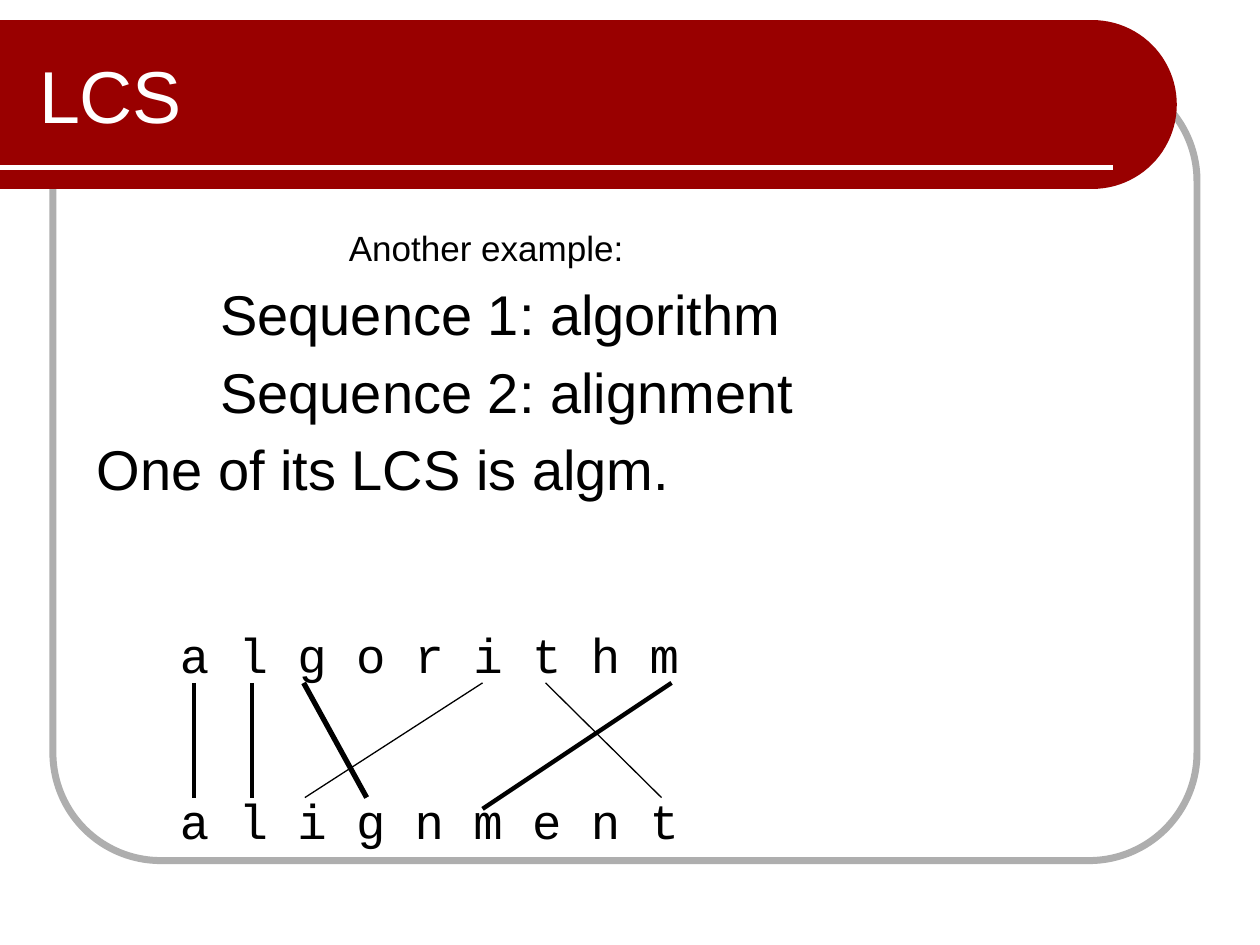
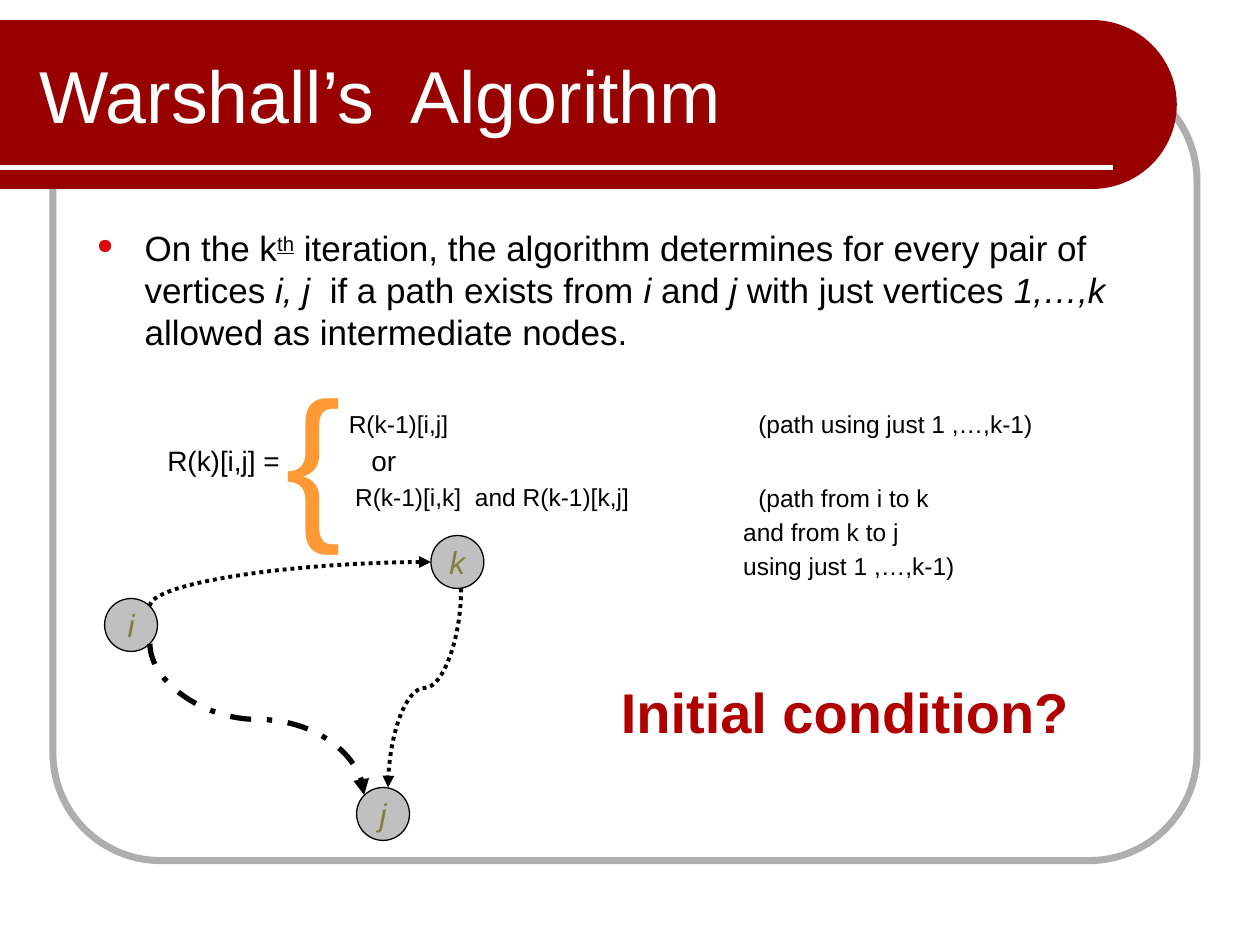
from dataclasses import dataclass
from math import cos, pi, sin

from lxml import etree
from pptx import Presentation
from pptx import util as u
from pptx.dml.color import RGBColor
from pptx.enum import dml, shapes, text
from pptx.oxml.ns import qn

Inches, Pt = u.Inches, u.Pt
LINK = shapes.MSO_CONNECTOR
DASH = dml.MSO_LINE


@dataclass(frozen=True)
class Theme:
    sans: str = "Arial"
    mono: str = "Courier New"
    band: str = "990000"
    frame: str = "AEAEAE"
    paper: str = "FFFFFF"
    ink: str = "000000"
    bullet: str = "DA0808"
    node: str = "C0C0C0"
    label: str = "817F3F"
    brace: str = "FF9933"
    accent: str = "B00000"
    title: int = 42
    large: int = 32
    letter: int = 28
    body: int = 20
    small: int = 18
    rule: int = 16
    note: int = 14
    huge: int = 96


T = Theme()


@dataclass(frozen=True)
class Bit:
    """A run; raised means underlined superscript."""
    words: str
    slant: bool = False
    raised: bool = False


@dataclass(frozen=True)
class Para:
    bits: tuple[Bit, ...] | str
    size: int
    first: float = 0
    left: float = 0
    gap: float | None = None
    bullet: str = ""
    font: str = T.sans
    color: str = T.ink
    bold: bool = False
    slant: bool = False


@dataclass(frozen=True)
class Stroke:
    start: tuple[float, float]
    end: tuple[float, float]
    width: float
    color: str = T.ink


@dataclass(frozen=True)
class Curve:
    """A curved arrow, given by its box before it is turned."""
    x: float
    y: float
    wide: float
    high: float
    turn: int
    width: float
    dash: DASH
    kind: str = "curvedConnector3"
    flip: bool = False


@dataclass(frozen=True)
class Node:
    x: float
    y: float
    name: str


def rgb(color: str) -> RGBColor:
    return RGBColor.from_string(color)


def add(parent, tag: str, **attrs: str):
    item = etree.SubElement(parent, qn(tag))
    for key, value in attrs.items():
        item.set(key, value)
    return item


def style(para, size: int, color: str, font: str = T.sans) -> None:
    para.font.size = Pt(size)
    para.font.name = font
    para.font.color.rgb = rgb(color)


def write(para, item: Para, gap: float) -> None:
    para.space_before = Pt(gap)
    props = para._p.get_or_add_pPr()
    props.set("marL", str(Inches(item.left)))
    props.set("indent", str(Inches(item.first)))
    if item.bullet:
        add(add(props, "a:buClr"), "a:srgbClr", val=T.bullet)
        add(props, "a:buSzPct", val="60000")
        add(props, "a:buChar", char=item.bullet)
    style(para, item.size, item.color, item.font)
    para.font.bold = item.bold
    para.font.italic = item.slant
    if isinstance(item.bits, str):
        para.text = item.bits
        return
    for bit in item.bits:
        run = para.add_run()
        run.text = bit.words
        run.font.italic = bit.slant
        if bit.raised:
            run.font.underline = True
            run._r.get_or_add_rPr().set("baseline", "30000")


def fill_text(frame, items: list[Para]) -> None:
    for i, item in enumerate(items):
        para = frame.add_paragraph() if i else frame.paragraphs[0]
        auto = 0.19 * item.size if i else 0
        write(para, item, auto if item.gap is None else item.gap)


def add_text(slide, x: float, y: float, wide: float, high: float,
             items: list[Para], wrap: bool = True) -> None:
    frame = slide.shapes.add_textbox(
        Inches(x), Inches(y), Inches(wide), Inches(high)).text_frame
    frame.word_wrap = wrap
    fill_text(frame, items)


def add_line(slide, item: Stroke, kind: LINK = LINK.STRAIGHT):
    ends = [Inches(n) for n in (*item.start, *item.end)]
    line = slide.shapes.add_connector(kind, *ends)
    line.line.width = Pt(item.width)
    line.line.color.rgb = rgb(item.color)
    add(line.element.spPr, "a:effectLst")
    return line


def add_curve(slide, item: Curve) -> None:
    end = (item.x + item.wide, item.y + item.high)
    line = add_line(slide, Stroke((item.x, item.y), end, item.width), LINK.CURVE)
    line.line.dash_style = item.dash
    props = line.element.spPr
    add(props.find(qn("a:ln")), "a:tailEnd", type="triangle")
    props.find(qn("a:prstGeom")).set("prst", item.kind)
    form = props.find(qn("a:xfrm"))
    form.set("rot", str(item.turn * 60000))
    if item.flip:
        form.set("flipH", "1")


def add_node(slide, item: Node) -> None:
    size = Inches(0.42)
    disc = slide.shapes.add_shape(
        shapes.MSO_SHAPE.OVAL, Inches(item.x), Inches(item.y), size, size)
    disc.shadow.inherit = False
    disc.fill.solid()
    disc.fill.fore_color.rgb = rgb(T.node)
    disc.line.color.rgb = rgb(T.ink)
    disc.line.width = Pt(0.75)
    frame = disc.text_frame
    frame.word_wrap = False
    frame.vertical_anchor = text.MSO_ANCHOR.MIDDLE
    fill_text(frame, [Para(item.name, T.small, color=T.label, slant=True)])
    frame.paragraphs[0].alignment = text.PP_ALIGN.CENTER


def add_frame(slide) -> None:
    """Draw the grey outline and the red band with its white rule."""
    edge = slide.shapes.add_shape(
        shapes.MSO_SHAPE.ROUNDED_RECTANGLE,
        Inches(0.42), Inches(0.58), Inches(9.08), Inches(6.25))
    edge.adjustments[0] = 0.137
    edge.shadow.inherit = False
    edge.fill.background()
    edge.line.color.rgb = rgb(T.frame)
    edge.line.width = Pt(4)

    mid, rad, steps = (8.67, 0.83), 0.67, 48
    turns = [pi * (i / steps - 0.5) for i in range(steps + 1)]
    arc = [(mid[0] + rad * cos(a), mid[1] + rad * sin(a)) for a in turns]
    low, high = mid[1] - rad, mid[1] + rad
    pen = slide.shapes.build_freeform(0, Inches(low))
    pen.add_line_segments([(Inches(x), Inches(y)) for x, y in [*arc, (0, high)]])
    band = pen.convert_to_shape()
    band.shadow.inherit = False
    band.fill.solid()
    band.fill.fore_color.rgb = rgb(T.band)
    band.line.fill.background()
    add_line(slide, Stroke((0, 1.33), (8.83, 1.33), 3, T.paper))


def add_slide(deck, name: str):
    slide = deck.slides.add_slide(deck.slide_layouts[5])
    add_frame(slide)
    title = slide.shapes.title
    title.element.getparent().append(title.element)
    title.left, title.top = Inches(0.21), Inches(0.25)
    title.width, title.height = Inches(7.79), Inches(1)
    frame = title.text_frame
    frame.text = name
    frame.word_wrap = True
    frame.auto_size = text.MSO_AUTO_SIZE.NONE
    frame.vertical_anchor = text.MSO_ANCHOR.MIDDLE
    para = frame.paragraphs[0]
    para.alignment = text.PP_ALIGN.LEFT
    style(para, T.title, T.paper)
    return slide


def add_body(slide, items: list[Para]) -> None:
    add_text(slide, 0.67, 1.75, 8.67, 4.83, items)


def build_lcs(deck) -> None:
    slide = add_slide(deck, "LCS")
    add_body(slide, [
        Para("Another example:", T.body, first=2),
        Para("Sequence 1: algorithm", T.large, first=0.98),
        Para("Sequence 2: alignment", T.large, first=0.98),
        Para("One of its LCS is algm.", T.large),
    ])
    add_text(slide, 1.33, 4.91, 5.83, 1.97, [
        Para("a l g o r i t h m", T.letter, font=T.mono),
        Para("a l i g n m e n t", T.letter, font=T.mono, gap=61),
    ])
    top, foot = 5.42, 6.33
    for start, end, low, width in (
        (1.54, 1.54, foot, 2.5),
        (2, 2, foot, 2.5),
        (2.41, 2.91, foot, 3),
        (3.83, 2.42, foot, 0.75),
        (4.33, 5.25, foot, 0.75),
        (5.33, 3.83, 6.42, 2.5),
    ):
        add_line(slide, Stroke((start, top), (end, low), width))


def build_warshall(deck) -> None:
    slide = add_slide(deck, "Warshall’s  Algorithm")
    add_body(slide, [
        Para((
            Bit("On the k"), Bit("th", raised=True),
            Bit(" iteration, the algorithm determines for every pair of vertices "),
            Bit("i, j  ", True), Bit("if a path exists from "), Bit("i", True),
            Bit(" and "), Bit("j", True), Bit(" with just vertices "),
            Bit("1,…,k ", True), Bit("allowed as intermediate nodes."),
        ), T.body, first=-0.38, left=0.38, bullet="●"),
        Para("R(k-1)[i,j]", T.note, 2, gap=32),
        Para("or", T.rule, 2.18),
        Para("R(k-1)[i,k]  and R(k-1)[k,j]", T.note, 2.05),
    ])
    add_text(slide, 1.23, 3.47, 1.1, 0.35, [Para("R(k)[i,j] =", T.rule)], wrap=False)
    add_text(slide, 5.8, 3.2, 3.4, 1.5, [
        Para("(path using just 1 ,…,k-1)", T.note, 0.12),
        Para("(path from i to k", T.note, 0.12, gap=25),
        Para("and from k to j", T.note),
        Para("using just 1 ,…,k-1)", T.note),
    ])
    for node in (Node(0.83, 4.75, "i"), Node(2.83, 6.25, "j"), Node(3.42, 4.25, "k")):
        add_node(slide, node)
    for curve in (
        Curve(1.44, 4.86, 1.2, 1.7, 270, 3, DASH.DASH_DOT, flip=True),
        Curve(2.13, 3.52, 0.35, 2.23, 270, 2.25, DASH.ROUND_DOT,
              kind="curvedConnector2"),
        Curve(2.58, 5.17, 1.58, 0.58, 90, 2.25, DASH.ROUND_DOT),
    ):
        add_curve(slide, curve)
    add_text(slide, 2.17, 2.75, 0.65, 1.72,
             [Para("{", T.huge, color=T.brace)], wrap=False)
    add_text(slide, 4.83, 5.33, 4.08, 0.64,
             [Para("Initial condition?", T.large, color=T.accent, bold=True)])


def main() -> None:
    deck = Presentation()
    deck.slide_width, deck.slide_height = Inches(10), Inches(7.5)
    build_lcs(deck)
    build_warshall(deck)
    deck.save("out.pptx")


if __name__ == "__main__":
    main()
